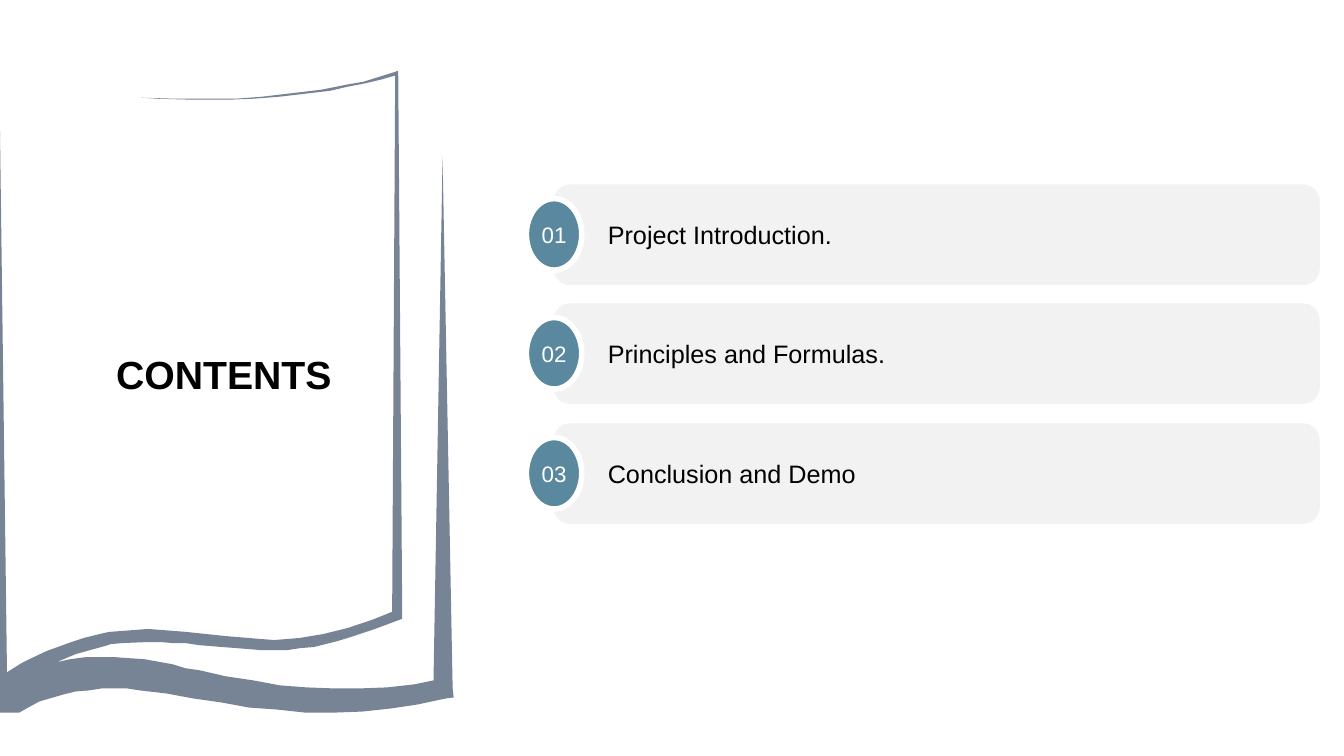
from pptx import Presentation
from pptx.dml.color import RGBColor
from pptx.enum.shapes import MSO_SHAPE
from pptx.enum.text import MSO_ANCHOR, MSO_AUTO_SIZE, PP_ALIGN
from pptx.util import Pt

ROUNDED, OVAL = MSO_SHAPE.ROUNDED_RECTANGLE, MSO_SHAPE.OVAL
MIDDLE, NO_FIT = MSO_ANCHOR.MIDDLE, MSO_AUTO_SIZE.NONE
LEFT, CENTER = PP_ALIGN.LEFT, PP_ALIGN.CENTER

HEADING = "CONTENTS"
CHAPTERS = ["Project Introduction.", "Principles and Formulas.", "Conclusion and Demo"]
COLORS = {"book": "778495", "bar": "F2F2F2", "badge": "5A889E",
          "text": "000000", "light": "FFFFFF"}
FONT = "Arial"
PX = 9144
SLIDE = (1333, 750)
HEADING_BOX = (83, 340, 278, 62)
BAR = (549, 183, 760, 100)
BADGE = (522, 197, 55, 71)
LAST_BAR_TOP = 420
BAR_INDENT, INSET = 49, 10

PAGE_RIGHT = [(395, 70), (395, 72), (399, 610), (399, 614), (396, 615)]
PAGE_BOTTOM = [
    (372, 624), (348, 632), (335, 636), (323, 639), (311, 642), (298, 643),
    (285, 645), (272, 645), (259, 645), (247, 644), (221, 642), (197, 640),
    (184, 638), (171, 638), (159, 637), (147, 637), (122, 638), (110, 639),
    (104, 641), (93, 644), (75, 649), (56, 657)]
COVER_TOP = [
    (70, 654), (77, 653), (85, 652), (99, 652), (114, 652), (128, 653),
    (143, 654), (171, 659), (184, 663), (198, 665), (224, 671), (251, 675),
    (278, 680), (304, 682), (331, 683), (357, 683), (384, 682), (411, 679),
    (430, 675)]
COVER_RIGHT = [(439, 156), (449, 683), (450, 692), (442, 693)]
COVER_BOTTOM = [
    (414, 699), (387, 703), (359, 706), (331, 707), (303, 707), (275, 704),
    (247, 702), (220, 697), (192, 693), (165, 688), (139, 685), (126, 683),
    (101, 683), (88, 685), (75, 686), (63, 689), (39, 696), (28, 702),
    (19, 707), (0, 707)]
SPINE = [(0, 127), (7, 667), (18, 660), (23, 657), (46, 646), (71, 637), (83, 633)]
PAGE_LOWER_INNER = [
    (95, 630), (108, 627), (121, 626), (147, 624), (160, 625), (185, 627),
    (223, 631), (247, 633), (272, 635), (297, 633), (321, 629), (345, 623),
    (369, 615), (389, 607)]
PAGE_UPPER_INNER = [
    (392, 75), (378, 79), (361, 83), (345, 86), (328, 90), (303, 93),
    (277, 96), (251, 98), (226, 99), (192, 99), (157, 98), (140, 97)]
PAGE_TOP = [
    (175, 98), (209, 98), (234, 98), (260, 96), (294, 92), (319, 89),
    (344, 84), (361, 81), (377, 76), (393, 71)]
BOOK = (PAGE_RIGHT + PAGE_BOTTOM + COVER_TOP + COVER_RIGHT + COVER_BOTTOM
        + SPINE + PAGE_LOWER_INNER + PAGE_UPPER_INNER + PAGE_TOP)


def emu(box):
    return [value * PX for value in box]


def rgb(name):
    return RGBColor.from_string(COLORS[name])


def paint(shape, color):
    shape.shadow.inherit = False
    shape.fill.solid()
    shape.fill.fore_color.rgb = rgb(color)
    shape.line.fill.background()


def write(shape, text, size, color, align, bold=False, wrap=False, indent=INSET):
    frame = shape.text_frame
    frame.auto_size = NO_FIT
    frame.word_wrap = wrap
    frame.vertical_anchor = MIDDLE
    frame.margin_left, frame.margin_right = indent * PX, INSET * PX
    paragraph = frame.paragraphs[0]
    paragraph.alignment = align
    run = paragraph.add_run()
    run.text = text
    run.font.name, run.font.size, run.font.bold = FONT, Pt(size), bold
    run.font.color.rgb = rgb(color)


def add_chapter(slide, number, chapter, offset):
    entry = slide.shapes.add_group_shape()
    left, top, width, height = BAR
    bar = entry.shapes.add_shape(ROUNDED, *emu((left, top + offset, width, height)))
    paint(bar, "bar")
    write(bar, chapter, 18, "text", LEFT, wrap=True, indent=BAR_INDENT)
    left, top, width, height = BADGE
    badge = entry.shapes.add_shape(OVAL, *emu((left, top + offset, width, height)))
    paint(badge, "badge")
    badge.line.color.rgb = rgb("light")
    badge.line.width = Pt(4)
    write(badge, f"{number:02d}", 16, "light", CENTER)


def main():
    deck = Presentation()
    deck.slide_width, deck.slide_height = emu(SLIDE)
    slide = deck.slides.add_slide(deck.slide_layouts[5])

    heading = slide.shapes.title
    heading.left, heading.top, heading.width, heading.height = emu(HEADING_BOX)
    write(heading, HEADING, 28, "text", CENTER, bold=True)

    outline = slide.shapes.build_freeform(*BOOK[0], scale=PX)
    outline.add_line_segments(BOOK[1:], close=True)
    paint(outline.convert_to_shape(), "book")

    span = LAST_BAR_TOP - BAR[1]
    for index, chapter in enumerate(CHAPTERS):
        add_chapter(slide, index + 1, chapter, span * index // (len(CHAPTERS) - 1))

    deck.save("out.pptx")


if __name__ == "__main__":
    main()
